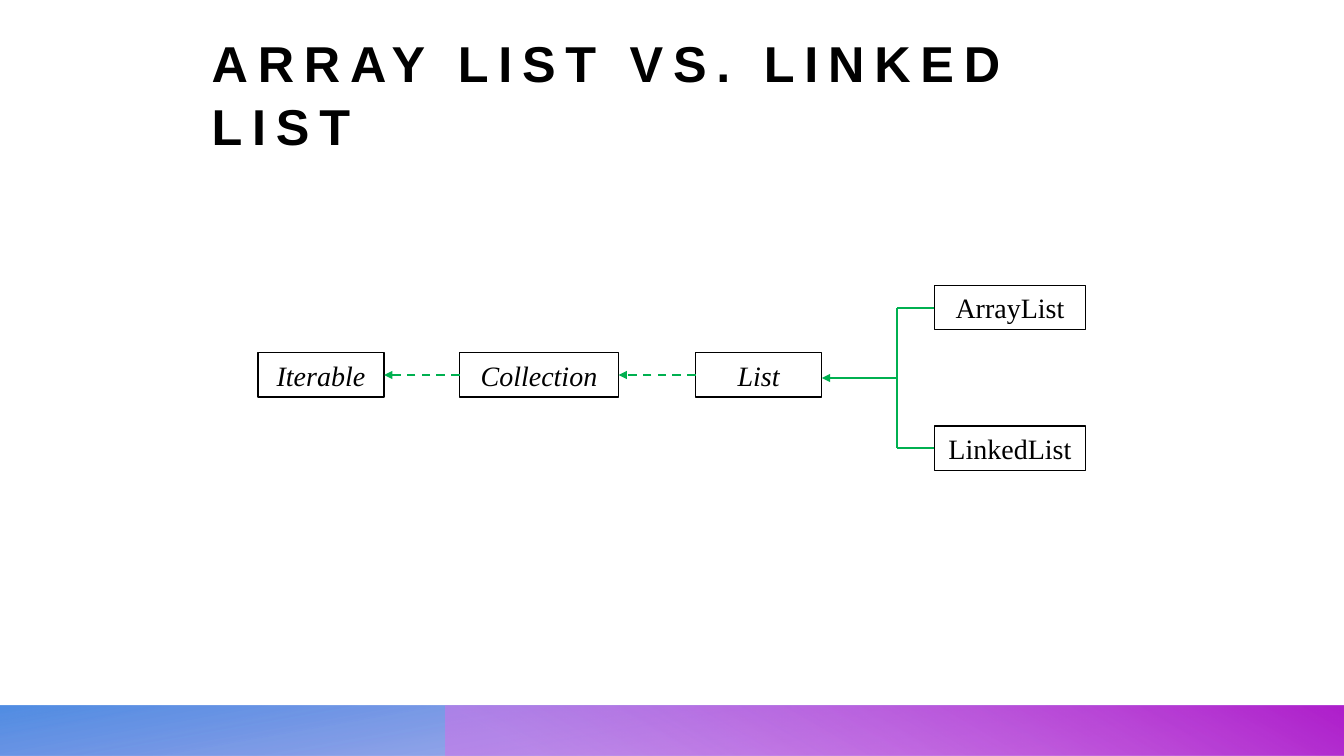
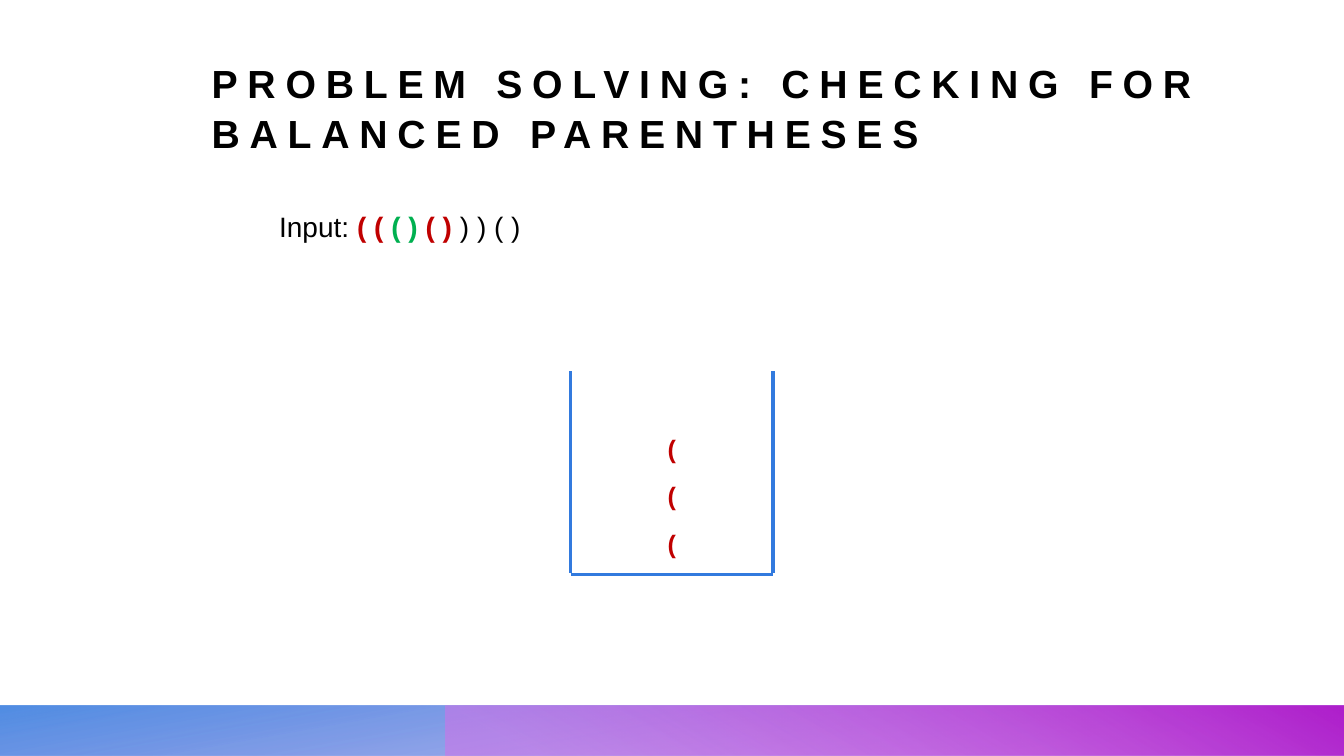
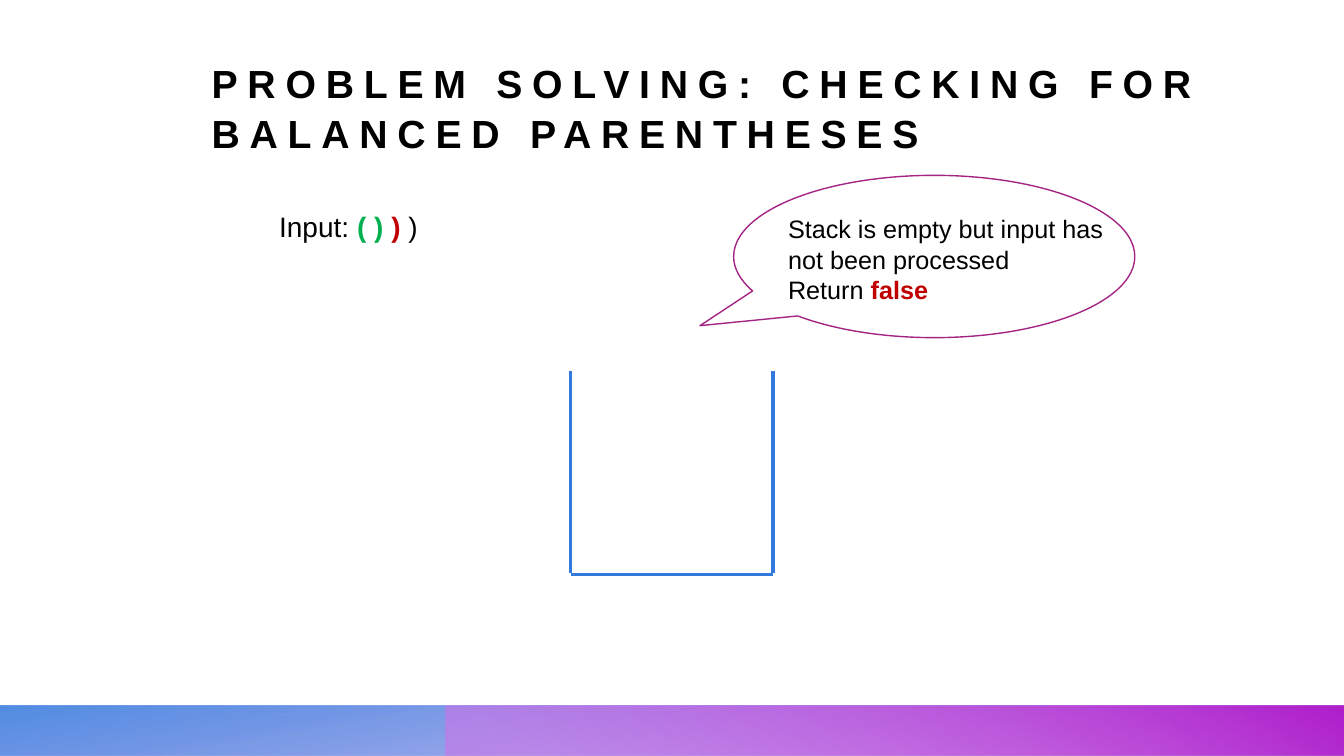
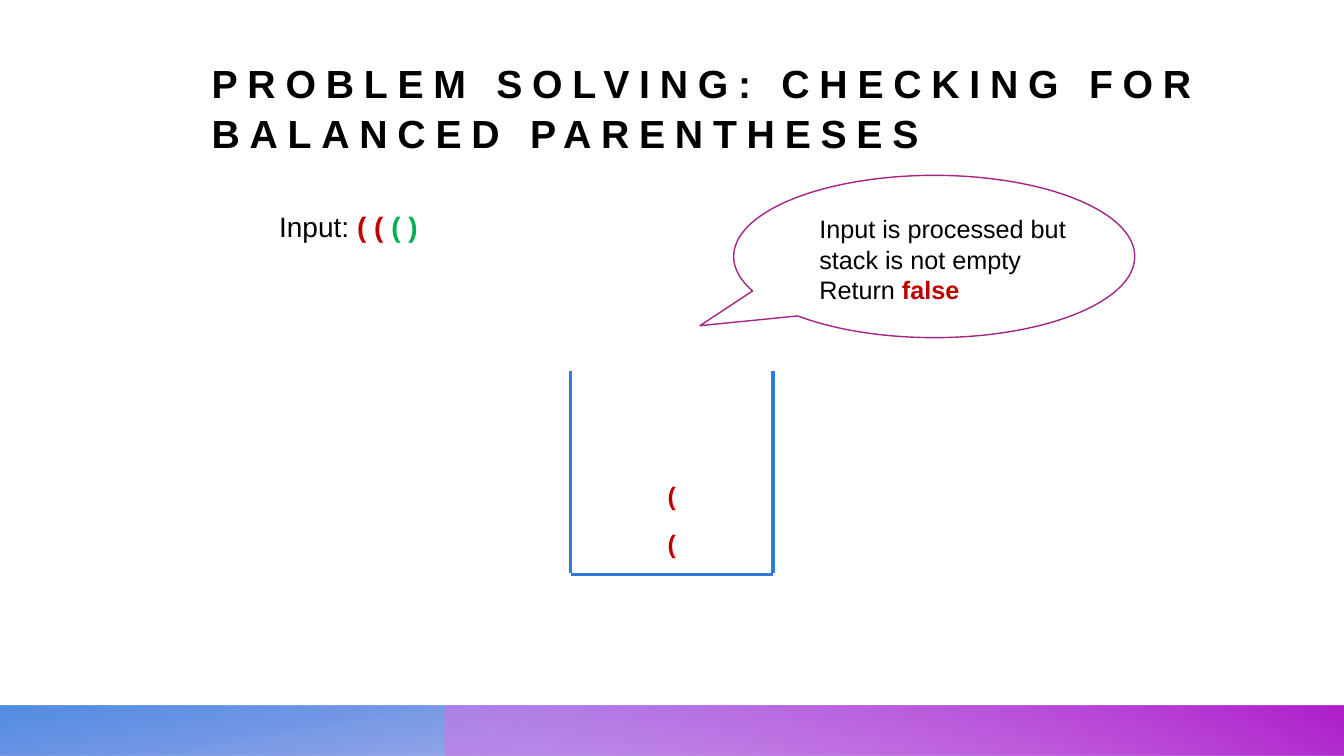
"""Build four slides on lists and on checking balanced parentheses with a stack."""
import dataclasses
import typing

import lxml.etree
import pptx
import pptx.dml.color
import pptx.enum.dml
import pptx.enum.shapes
import pptx.enum.text
import pptx.oxml.ns
import pptx.presentation
import pptx.shapes.autoshape
import pptx.shapes.base
import pptx.slide
import pptx.text.text
import pptx.util

Cm = pptx.util.Cm
Pt = pptx.util.Pt
qn = pptx.oxml.ns.qn
Color = pptx.dml.color.RGBColor
ShapeKind = pptx.enum.shapes.MSO_SHAPE
Align = pptx.enum.text.PP_ALIGN


@dataclasses.dataclass(frozen=True)
class Theme:
    """Colours, fonts and type sizes of the presentation."""

    ink: str = "000000"
    red: str = "C00000"
    green: str = "00B050"
    blue: str = "327ADE"
    plum: str = "A42584"
    sans: str = "Arial"
    serif: str = "Times New Roman"
    large_title: int = 36
    title: int = 28
    body: int = 20
    note: int = 18
    title_tracking: int = 7


THEME = Theme()


class Box(typing.NamedTuple):
    """A rectangle in centimetres."""

    left: float
    top: float
    width: float
    height: float

    @property
    def right(self) -> float:
        return self.left + self.width

    @property
    def middle(self) -> float:
        return self.top + self.height / 2

    def lengths(self) -> tuple[pptx.util.Length, ...]:
        return tuple(Cm(value) for value in self)


class Run(typing.NamedTuple):
    """A piece of text with its colour and weight."""

    text: str
    color: str = THEME.ink
    bold: bool = False


class Stop(typing.NamedTuple):
    """A gradient stop, with opacity in percent."""

    position: float
    color: str
    opacity: int = 100


class Band(typing.NamedTuple):
    """A gradient strip along the foot of every slide."""

    box: Box
    stops: tuple[Stop, Stop]
    angle: int
    rotation: int = 0


class ClassBox(typing.NamedTuple):
    """A type in the list hierarchy."""

    name: str
    box: Box
    abstract: bool = False


class Note(typing.NamedTuple):
    """The verdict shown in the speech bubble."""

    text: str
    box: Box


class StackSlide(typing.NamedTuple):
    """One state of the parentheses check."""

    input_runs: tuple[Run, ...]
    depth: int
    note: Note | None = None


SLIDE_WIDTH, SLIDE_HEIGHT = 33.87, 19.05
BAND_TOP, BAND_HEIGHT, BAND_SPLIT = 17.78, 1.27, 11.22
BANDS = (
    Band(Box(0, BAND_TOP, SLIDE_WIDTH, BAND_HEIGHT),
         (Stop(0.14, "3F3FD3", 28), Stop(1, THEME.blue, 85)), 260, 180),
    Band(Box(BAND_SPLIT, BAND_TOP, SLIDE_WIDTH - BAND_SPLIT, BAND_HEIGHT),
         (Stop(0.09, "D571E9", 55), Stop(0.99, "AF20CC")), 120),
)

CHAIN = (
    ClassBox("Iterable", Box(6.5, 8.89, 3.18, 1.12), True),
    ClassBox("Collection", Box(11.58, 8.89, 4.01, 1.12), True),
    ClassBox("List", Box(17.53, 8.89, 3.18, 1.12), True),
)
IMPLEMENTATIONS = (
    ClassBox("ArrayList", Box(23.55, 7.19, 3.81, 1.12)),
    ClassBox("LinkedList", Box(23.55, 10.74, 3.81, 1.12)),
)
TRUNK_X = 22.61

INPUT = Box(6.78, 5.08, 21.59, 1.7)
STACK = Box(14.38, 9.35, 5.1, 5.08)
STACK_BASE_Y = 14.48
STACK_ITEM = Box(15.9, 13.18, 2.06, 1.02)
STACK_STEP = 1.19
BUBBLE = Box(18.49, 4.42, 10.11, 4.09)
BUBBLE_TIP = (-0.584, 0.426)

STACK_TITLE = "PROBLEM SOLVING: CHECKING FOR BALANCED PARENTHESES"
STACK_SLIDES = (
    StackSlide((Run("( ( ", THEME.red, True), Run("( ) ", THEME.green, True),
                Run("( )", THEME.red, True), Run(" ) ) ( )")), 3),
    StackSlide((Run("( ) ", THEME.green, True), Run(")", THEME.red, True), Run(" )")), 0,
               Note("Stack is empty but input has not been processed", Box(19.61, 5.26, 8.59, 2.57))),
    StackSlide((Run("( ( ", THEME.red, True), Run("( )", THEME.green, True)), 2,
               Note("Input is processed but stack is not empty", Box(20.4, 5.26, 7.67, 2.57))),
)


def place(shape: pptx.shapes.base.BaseShape, box: Box) -> None:
    """Move and size a shape."""
    shape.left, shape.top, shape.width, shape.height = box.lengths()


def write(paragraph: pptx.text.text._Paragraph, runs: typing.Sequence[Run], size: int,
          font_name: str = THEME.sans) -> None:
    """Fill a paragraph, formatting single runs only where they differ."""
    paragraph.font.name = font_name
    paragraph.font.size = Pt(size)
    paragraph.font.bold = runs[0].bold
    paragraph.font.color.rgb = Color.from_string(runs[0].color)
    for piece in runs:
        run = paragraph.add_run()
        run.text = piece.text
        if piece[1:] != runs[0][1:]:
            run.font.bold = piece.bold
            run.font.color.rgb = Color.from_string(piece.color)


def add_outline(slide: pptx.slide.Slide, kind: ShapeKind, box: Box,
                color: str) -> pptx.shapes.autoshape.Shape:
    """Add an unfilled shape with a thin outline."""
    shape = slide.shapes.add_shape(kind, *box.lengths())
    shape.shadow.inherit = False
    shape.fill.background()
    shape.line.color.rgb = Color.from_string(color)
    shape.line.width = Pt(1)
    return shape


def add_line(slide: pptx.slide.Slide, start: tuple[float, float], end: tuple[float, float],
             color: str, width: float, arrow: bool = False, dashed: bool = False) -> None:
    """Add a straight line, with an arrowhead at its end if asked."""
    line = slide.shapes.add_connector(
        pptx.enum.shapes.MSO_CONNECTOR.STRAIGHT, *(Cm(value) for value in (*start, *end)))
    line.line.color.rgb = Color.from_string(color)
    line.line.width = Pt(width)
    if dashed:
        line.line.dash_style = pptx.enum.dml.MSO_LINE.DASH
    properties = line.element.spPr
    if arrow:
        lxml.etree.SubElement(properties.find(qn("a:ln")), qn("a:tailEnd"), type="triangle")
    lxml.etree.SubElement(properties, qn("a:effectLst"))


def add_text_box(slide: pptx.slide.Slide, box: Box) -> pptx.text.text.TextFrame:
    """Add a wrapping text box and return its text frame."""
    frame = slide.shapes.add_textbox(*box.lengths()).text_frame
    frame.word_wrap = True
    return frame


def add_title(slide: pptx.slide.Slide, text: str, size: int, width: float) -> None:
    """Fill and format the title placeholder."""
    title = slide.shapes.title
    place(title, Box(5.08, 1.52, width, 2.54))
    frame = title.text_frame
    frame.auto_size = pptx.enum.text.MSO_AUTO_SIZE.NONE
    frame.vertical_anchor = pptx.enum.text.MSO_ANCHOR.BOTTOM
    paragraph = frame.paragraphs[0]
    paragraph.alignment = Align.LEFT
    paragraph.line_spacing = 1.05
    write(paragraph, [Run(text, bold=True)], size)
    title.element.xpath(".//a:defRPr")[0].set("spc", str(THEME.title_tracking * 100))


def add_band(slide: pptx.slide.Slide, band: Band) -> pptx.shapes.autoshape.Shape:
    """Add a mirrored gradient strip."""
    shape = slide.shapes.add_shape(ShapeKind.RECTANGLE, *band.box.lengths())
    shape.shadow.inherit = False
    shape.line.fill.background()
    shape.rotation = band.rotation
    shape.element.spPr.find(qn("a:xfrm")).set("flipH", "1")
    shape.fill.gradient()
    shape.fill.gradient_angle = band.angle
    for gradient_stop, stop in zip(shape.fill.gradient_stops, band.stops):
        gradient_stop.position = stop.position
        gradient_stop.color.rgb = Color.from_string(stop.color)
    for color, stop in zip(shape.element.xpath(".//a:gs/a:srgbClr"), band.stops):
        lxml.etree.SubElement(color, qn("a:alpha"), val=str(stop.opacity * 1000))
    return shape


def move_bands_to_master(presentation: pptx.presentation.Presentation,
                         slide: pptx.slide.Slide) -> None:
    """Draw the bands and keep them on the slide master, behind its placeholders."""
    tree = presentation.slide_master.shapes.element
    for index, band in enumerate(BANDS):
        element = add_band(slide, band).element
        element.xpath(".//p:cNvPr")[0].set("id", str(100 + index))
        tree.insert(2 + index, element)


def add_class_box(slide: pptx.slide.Slide, item: ClassBox) -> None:
    """Add a named box, in italics for an interface."""
    shape = add_outline(slide, ShapeKind.RECTANGLE, item.box, THEME.ink)
    paragraph = shape.text_frame.paragraphs[0]
    paragraph.alignment = Align.CENTER
    write(paragraph, [Run(item.name)], THEME.body, THEME.serif)
    paragraph.font.italic = item.abstract


def add_hierarchy(slide: pptx.slide.Slide) -> None:
    """Draw the list types and the lines between them."""
    for item in CHAIN + IMPLEMENTATIONS:
        add_class_box(slide, item)
    for parent, child in zip(CHAIN, CHAIN[1:]):
        y = child.box.middle
        add_line(slide, (child.box.left, y), (parent.box.right, y), THEME.green, 1.5,
                 arrow=True, dashed=True)
    for item in IMPLEMENTATIONS:
        y = item.box.middle
        add_line(slide, (item.box.left, y), (TRUNK_X, y), THEME.green, 1.5)
    top, bottom = (item.box.middle for item in IMPLEMENTATIONS)
    add_line(slide, (TRUNK_X, top), (TRUNK_X, bottom), THEME.green, 1.5)
    center = (top + bottom) / 2
    add_line(slide, (TRUNK_X, center), (CHAIN[-1].box.right, center), THEME.green, 1.5, arrow=True)


def add_input(slide: pptx.slide.Slide, runs: tuple[Run, ...]) -> None:
    """Show the input string in the body placeholder."""
    body = slide.placeholders[1]
    place(body, INPUT)
    body.text_frame.auto_size = pptx.enum.text.MSO_AUTO_SIZE.NONE
    paragraph = body.text_frame.paragraphs[0]
    paragraph.alignment = Align.LEFT
    properties = body.element.xpath(".//a:pPr")[0]
    properties.set("marL", "0")
    properties.set("indent", "0")
    lxml.etree.SubElement(properties, qn("a:buNone"))
    paragraph.line_spacing = 1.1
    paragraph.space_before = Pt(24)
    write(paragraph, [Run("Input: "), *runs], THEME.body)


def add_stack(slide: pptx.slide.Slide, depth: int) -> None:
    """Draw the open container and its parentheses from the bottom up."""
    for x in (STACK.left, STACK.right):
        add_line(slide, (x, STACK.top), (x, STACK.top + STACK.height), THEME.blue, 2.25)
    add_line(slide, (STACK.left, STACK_BASE_Y), (STACK.right, STACK_BASE_Y), THEME.blue, 2.25)
    for level in range(depth):
        box = STACK_ITEM._replace(top=STACK_ITEM.top - level * STACK_STEP)
        paragraph = add_text_box(slide, box).paragraphs[0]
        paragraph.alignment = Align.CENTER
        write(paragraph, [Run("(", THEME.red, True)], THEME.note)


def add_note(slide: pptx.slide.Slide, note: Note) -> None:
    """Add the verdict and the speech bubble around it."""
    frame = add_text_box(slide, note.box)
    write(frame.paragraphs[0], [Run(note.text)], THEME.note)
    write(frame.add_paragraph(), [Run("Return "), Run("false", THEME.red, True)], THEME.note)
    bubble = add_outline(slide, ShapeKind.OVAL_CALLOUT, BUBBLE, THEME.plum)
    for index, value in enumerate(BUBBLE_TIP):
        bubble.adjustments[index] = value


def main() -> None:
    """Build and save the presentation."""
    presentation = pptx.Presentation()
    presentation.slide_width = Cm(SLIDE_WIDTH)
    presentation.slide_height = Cm(SLIDE_HEIGHT)
    content_layout = presentation.slide_layouts.get_by_name("Title and Content")
    title_layout = presentation.slide_layouts.get_by_name("Title Only")

    slide = presentation.slides.add_slide(title_layout)
    move_bands_to_master(presentation, slide)
    add_title(slide, "ARRAY LIST VS. LINKED LIST", THEME.large_title, 24.59)
    add_hierarchy(slide)

    for state in STACK_SLIDES:
        slide = presentation.slides.add_slide(content_layout)
        add_title(slide, STACK_TITLE, THEME.title, 26.59)
        add_input(slide, state.input_runs)
        add_stack(slide, state.depth)
        if state.note:
            add_note(slide, state.note)

    presentation.save("out.pptx")


if __name__ == "__main__":
    main()
